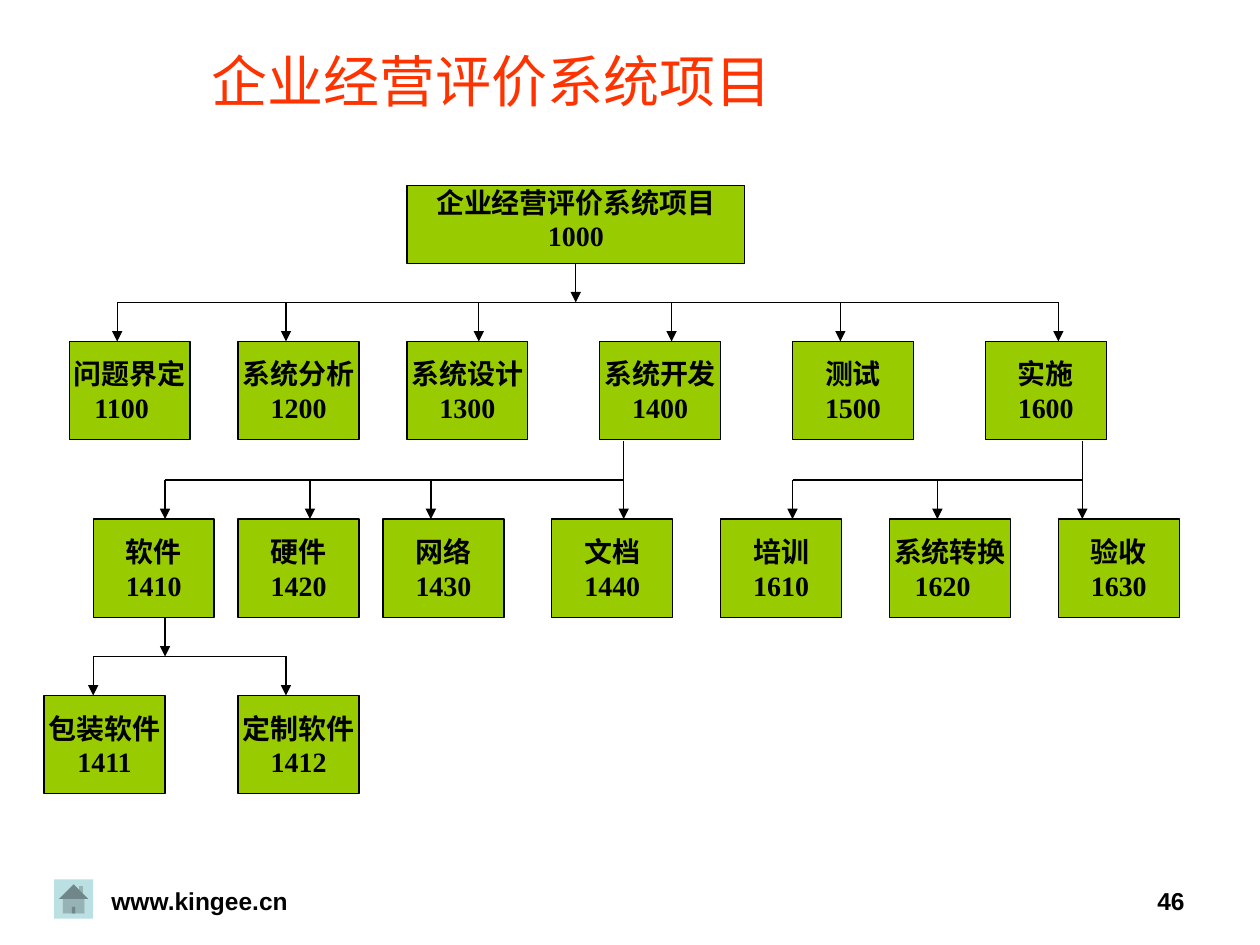
from dataclasses import dataclass

from lxml.etree import SubElement
from pptx import Presentation
from pptx.dml.color import RGBColor
from pptx.enum.shapes import MSO_CONNECTOR as Connector, MSO_SHAPE as Preset
from pptx.enum.text import MSO_ANCHOR as Anchor, PP_ALIGN as Align
from pptx.oxml import parse_xml
from pptx.oxml.ns import nsdecls, qn
from pptx.util import Inches, Pt

BLACK, GREEN, RED, PALE_BLUE = "000000", "99CC00", "FF3300", "BBE0E3"
NODE_WIDTH, NODE_HEIGHT = 0.96, 0.78
STAGE_TOP, TASK_TOP, PACKAGE_TOP = 2.71, 4.12, 5.52
GAP = 0.31


@dataclass
class Node:
    label: str
    code: str
    left: float
    top: float
    width: float = NODE_WIDTH
    height: float = NODE_HEIGHT
    anchor: Anchor = Anchor.MIDDLE
    code_indent: float = 0


@dataclass
class Branch:
    stem: float
    drops: tuple[float, ...]
    children_top: float
    stem_arrow: bool = True


NODES = [
    Node("企业经营评价系统项目", "1000", 3.23, 1.47, 2.68, 0.62, Anchor.TOP),
    Node("问题界定", "1100", 0.55, STAGE_TOP, code_indent=0.2),
    Node("系统分析", "1200", 1.89, STAGE_TOP),
    Node("系统设计", "1300", 3.23, STAGE_TOP),
    Node("系统开发", "1400", 4.76, STAGE_TOP),
    Node("测试", "1500", 6.29, STAGE_TOP),
    Node("实施", "1600", 7.82, STAGE_TOP),
    Node("软件", "1410", 0.74, TASK_TOP),
    Node("硬件", "1420", 1.89, TASK_TOP),
    Node("网络", "1430", 3.04, TASK_TOP),
    Node("文档", "1440", 4.38, TASK_TOP),
    Node("培训", "1610", 5.72, TASK_TOP),
    Node("系统转换", "1620", 7.06, TASK_TOP, code_indent=0.2),
    Node("验收", "1630", 8.4, TASK_TOP),
    Node("包装软件", "1411", 0.35, PACKAGE_TOP),
    Node("定制软件", "1412", 1.89, PACKAGE_TOP),
]

BRANCHES = [
    Branch(4.57, (0.93, 2.27, 3.8, 5.33, 6.67, 8.4), STAGE_TOP),
    Branch(4.95, (1.31, 2.46, 3.42, 4.95), TASK_TOP, stem_arrow=False),
    Branch(8.59, (6.29, 7.44, 8.59), TASK_TOP, stem_arrow=False),
    Branch(1.31, (0.74, 2.27), PACKAGE_TOP),
]


def rgb(value: str) -> RGBColor:
    return RGBColor.from_string(value)


def style(paragraph, align: Align, size: float, face: str, color: str = BLACK, bold: bool = True) -> None:
    paragraph.alignment = align
    font = paragraph.font
    font.size, font.name, font.bold = Pt(size), face, bold
    font.color.rgb = rgb(color)


def add_text(slide, text: str, left: float, top: float, width: float, height: float,
             align: Align, size: float = 14, color: str = BLACK, bold: bool = True):
    box = slide.shapes.add_textbox(Inches(left), Inches(top), Inches(width), Inches(height))
    frame = box.text_frame
    frame.word_wrap = True
    paragraph = frame.paragraphs[0]
    paragraph.text = text
    style(paragraph, align, size, "Arial", color, bold)
    return frame


def add_title(slide) -> None:
    frame = add_text(slide, "企业经营评价系统项目", 1.46, 0.28, 4.88, 0.71,
                     Align.CENTER, 32, RED, False)
    frame.vertical_anchor = Anchor.MIDDLE
    run = frame.paragraphs[0].runs[0]
    run.font.color.rgb = rgb(RED)
    run.font.fill._xPr.append(parse_xml(
        f'<a:effectLst {nsdecls("a")}><a:outerShdw dist="35921" dir="2700000">'
        f'<a:srgbClr val="{BLACK}"/></a:outerShdw></a:effectLst>'))


def add_home_button(slide) -> None:
    button = slide.shapes.add_shape(Preset.ACTION_BUTTON_HOME, Inches(0.43), Inches(6.98),
                                    Inches(GAP), Inches(GAP))
    button.shadow.inherit = False
    button.fill.solid()
    button.fill.fore_color.rgb = rgb(PALE_BLUE)
    button.line.fill.background()


def add_node(slide, node: Node) -> None:
    box = slide.shapes.add_shape(Preset.RECTANGLE, Inches(node.left), Inches(node.top),
                                 Inches(node.width), Inches(node.height))
    box.shadow.inherit = False
    box.fill.solid()
    box.fill.fore_color.rgb = rgb(GREEN)
    box.line.color.rgb = rgb(BLACK)
    box.line.width = Pt(0.75)
    frame = box.text_frame
    frame.margin_left = frame.margin_right = frame.margin_top = frame.margin_bottom = 0
    frame.vertical_anchor = node.anchor
    frame.word_wrap = True
    frame.text = f"{node.label}\n{node.code}"
    for paragraph in frame.paragraphs:
        style(paragraph, Align.CENTER, 16, "Times New Roman")
    if node.code_indent:
        code = frame.paragraphs[1]
        code.alignment = Align.LEFT
        code._p.get_or_add_pPr().set("marL", str(Inches(node.code_indent)))


def add_line(slide, x1: float, y1: float, x2: float, y2: float, arrow: bool = False) -> None:
    connector = slide.shapes.add_connector(Connector.STRAIGHT, Inches(x1), Inches(y1),
                                           Inches(x2), Inches(y2))
    connector.line.color.rgb = rgb(BLACK)
    connector.line.width = Pt(0.75)
    if arrow:
        SubElement(connector.line._get_or_add_ln(), qn("a:tailEnd"), type="triangle")
    SubElement(connector._element.spPr, qn("a:effectLst"))


def add_branch(slide, branch: Branch) -> None:
    bar = branch.children_top - GAP
    add_line(slide, branch.stem, bar - GAP, branch.stem, bar, branch.stem_arrow)
    add_line(slide, min(branch.drops), bar, max(branch.drops), bar)
    for drop in branch.drops:
        add_line(slide, drop, bar, drop, branch.children_top, True)


def main() -> None:
    deck = Presentation()
    deck.slide_width, deck.slide_height = Inches(10), Inches(7.5)
    slide = deck.slides.add_slide(deck.slide_layouts[6])
    add_home_button(slide)
    add_text(slide, "www.kingee.cn", 0, 6.98, 3.17, 0.52, Align.CENTER)
    add_text(slide, "46", 7.17, 6.98, 2.33, 0.52, Align.RIGHT)
    add_title(slide)
    for node in NODES:
        add_node(slide, node)
    for branch in BRANCHES:
        add_branch(slide, branch)
    deck.save("out.pptx")


if __name__ == "__main__":
    main()
